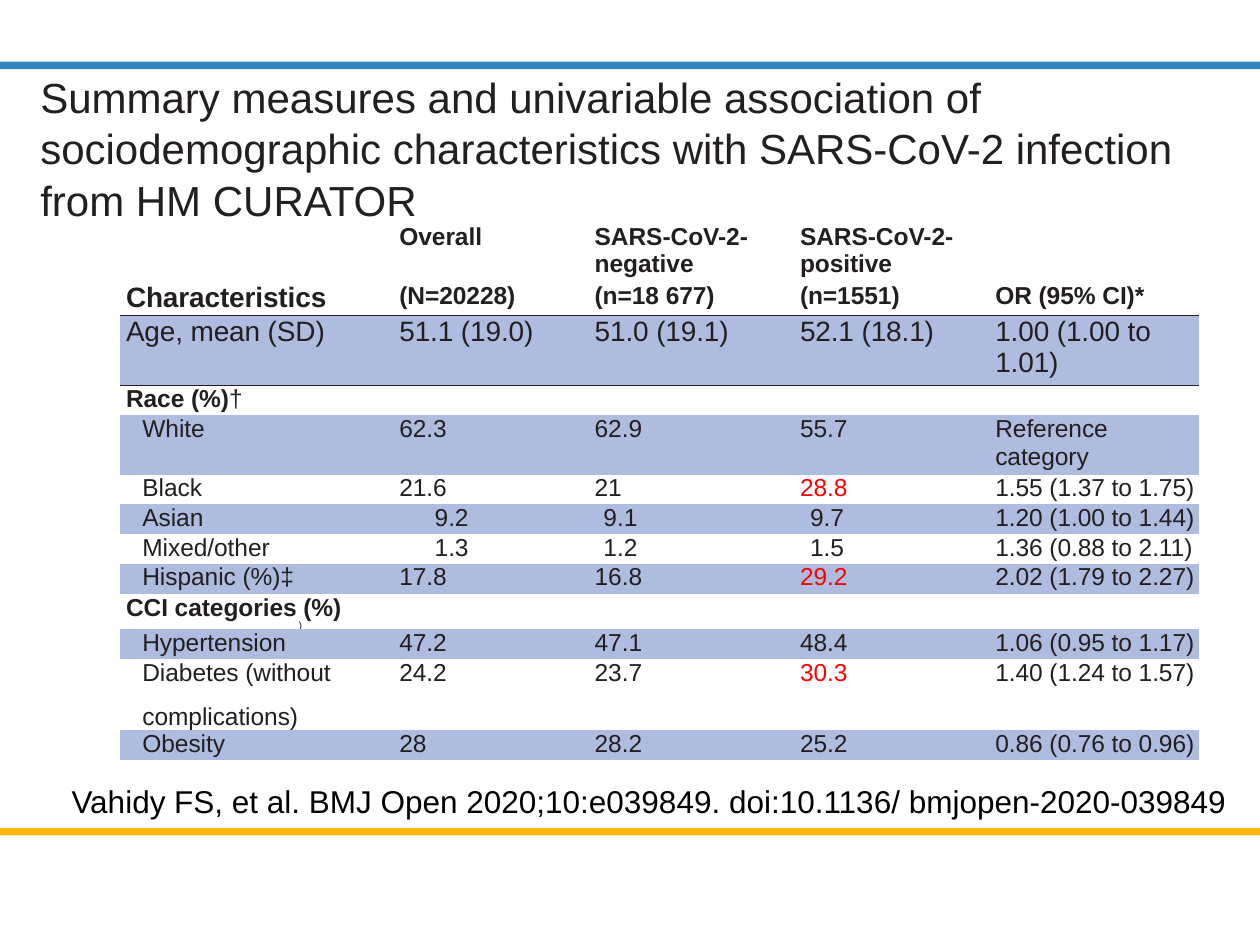
from dataclasses import dataclass
from typing import Optional

from lxml.etree import SubElement
from pptx import Presentation
from pptx.dml.color import RGBColor
from pptx.enum.shapes import MSO_SHAPE
from pptx.enum.text import MSO_ANCHOR, PP_ALIGN
from pptx.oxml import parse_xml
from pptx.oxml.ns import nsdecls, qn
from pptx.util import Inches, Pt


@dataclass(frozen=True)
class Theme:
    font: str = "Arial"
    ink: str = "231F20"
    black: str = "000000"
    alert: str = "FF0000"
    band: str = "AEBCE0"
    white: str = "FFFFFF"
    blue: str = "3284BE"
    gold: str = "FFB612"
    title_size: float = 24
    citation_size: float = 18
    large_size: float = 16
    body_size: float = 14
    blank_size: float = 10
    stray_size: float = 6
    rule_width: float = 0.58
    tracking: str = "-5"  # hundredths of a point


THEME = Theme()


@dataclass(frozen=True)
class Span:
    text: str
    size: float = THEME.body_size
    bold: bool = False
    color: str = THEME.ink


@dataclass(frozen=True)
class Row:
    height: float
    label: tuple[Span, ...] = ()
    values: tuple[str, ...] = ("", "", "", "")
    label_indent: float = 0.18
    fill: Optional[str] = None
    size: float = THEME.body_size
    bold: bool = False
    alert: bool = False  # red value in the positive column
    single_digit: bool = False
    anchor: MSO_ANCHOR = MSO_ANCHOR.TOP


HEADING_INDENT = 0.05
VALUE_INDENTS = (0.38, 0.34, 0.28, 0.25)
SINGLE_DIGIT_INDENTS = (None, 0.41, 0.36, 0.25)  # None means centred
POSITIVE_COLUMN = 2
COLUMN_WIDTHS = (1.84, 1.59, 1.69, 1.58, 1.87)
HEADER_ROW = 1


def label(text: str, **style) -> tuple[Span, ...]:
    return (Span(text, **style),)


ROWS = (
    Row(0.47, values=("Overall", "SARS-CoV-2-\nnegative", "SARS-CoV-2-\npositive", ""), bold=True),
    Row(0.26, label("Characteristics", size=THEME.large_size, bold=True),
        ("(N=20228)", "(n=18 677)", "(n=1551)", "OR (95% CI)*"), HEADING_INDENT, bold=True),
    Row(0.55, label("Age, mean (SD)", size=THEME.large_size),
        ("51.1 (19.0)", "51.0 (19.1)", "52.1 (18.1)", "1.00 (1.00 to 1.01)"),
        HEADING_INDENT, THEME.band, size=THEME.large_size),
    Row(0.24, (Span("Race (%)", bold=True), Span("†")), label_indent=HEADING_INDENT),
    Row(0.47, label("White"), ("62.3", "62.9", "55.7", "Reference category"), fill=THEME.band),
    Row(0.23, label("Black"), ("21.6", "21", "28.8", "1.55 (1.37 to 1.75)"), alert=True),
    Row(0.24, label("Asian"), ("9.2", "9.1", "9.7", "1.20 (1.00 to 1.44)"),
        fill=THEME.band, single_digit=True),
    Row(0.23, label("Mixed/other"), ("1.3", "1.2", "1.5", "1.36 (0.88 to 2.11)"),
        single_digit=True),
    Row(0.24, label("Hispanic (%)‡"), ("17.8", "16.8", "29.2", "2.02 (1.79 to 2.27)"),
        fill=THEME.band, alert=True),
    Row(0.28, label("CCI categories (%)", bold=True), label_indent=HEADING_INDENT),
    Row(0.24, label("Hypertension"), ("47.2", "47.1", "48.4", "1.06 (0.95 to 1.17)"),
        fill=THEME.band),
    Row(0.23, label("Diabetes (without"), ("24.2", "23.7", "30.3", "1.40 (1.24 to 1.57)"),
        fill=THEME.white, alert=True),
    Row(0.33, label("complications)"), anchor=MSO_ANCHOR.BOTTOM),
    Row(0.23, label("Obesity"), ("28", "28.2", "25.2", "0.86 (0.76 to 0.96)"), fill=THEME.band),
)


def add_run(paragraph, span: Span):
    run = paragraph.add_run()
    run.text = span.text
    font = run.font
    font.name, font.size, font.bold = THEME.font, Pt(span.size), span.bold
    font.color.rgb = RGBColor.from_string(span.color)
    return run


def set_indent(paragraph, indent: float) -> None:
    properties = paragraph._p.get_or_add_pPr()
    properties.set("marL", str(Inches(indent)))
    properties.set("indent", "0")


def add_bar(slide, top: float, color: str) -> None:
    shape = slide.shapes.add_shape(
        MSO_SHAPE.RECTANGLE, Inches(0), Inches(top), Inches(10), Inches(0.06))
    shape.shadow.inherit = False
    shape.fill.solid()
    shape.fill.fore_color.rgb = RGBColor.from_string(color)
    shape.line.fill.background()


def add_text(slide, box: tuple[float, ...], span: Span, indent: float = 0, inset: bool = False):
    frame = slide.shapes.add_textbox(*map(Inches, box)).text_frame
    frame.word_wrap = True
    if not inset:
        frame.margin_left = frame.margin_right = frame.margin_top = frame.margin_bottom = 0
    paragraph = frame.paragraphs[0]
    set_indent(paragraph, indent)
    add_run(paragraph, span)
    return paragraph


def add_rule(cell, edge: str) -> None:
    """Draw the header rule; borders come before the fill in a cell."""
    cell._tc.get_or_add_tcPr().insert(0, parse_xml(
        f'<a:{edge} {nsdecls("a")} w="{Pt(THEME.rule_width)}"><a:solidFill>'
        f'<a:srgbClr val="{THEME.ink}"/></a:solidFill></a:{edge}>'))


def fill_cell(cell, lines: list[tuple[Span, ...]], indent: Optional[float], row: Row) -> None:
    cell.margin_left = cell.margin_right = cell.margin_top = cell.margin_bottom = 0
    cell.vertical_anchor = row.anchor
    if row.fill:
        cell.fill.solid()
        cell.fill.fore_color.rgb = RGBColor.from_string(row.fill)
    else:
        cell.fill.background()
    frame = cell.text_frame
    for index, spans in enumerate(lines):
        paragraph = frame.add_paragraph() if index else frame.paragraphs[0]
        if indent is None:
            paragraph.alignment = PP_ALIGN.CENTER
        else:
            set_indent(paragraph, indent)
        for span in spans:
            run = add_run(paragraph, span)
            run._r.get_or_add_rPr().set("spc", THEME.tracking)
        if not spans:  # keep empty cells from stretching the row
            SubElement(paragraph._p, qn("a:endParaRPr"), sz=str(int(THEME.blank_size * 100)))


def add_characteristics_table(slide) -> None:
    frame = slide.shapes.add_table(
        len(ROWS), len(COLUMN_WIDTHS), Inches(0.95), Inches(1.77),
        Inches(sum(COLUMN_WIDTHS)), Inches(sum(row.height for row in ROWS)))
    table = frame.table
    table.first_row = table.horz_banding = False
    style = table._tbl.tblPr.find(qn("a:tableStyleId"))
    style.text = "{2D5ABB26-0587-4C30-8999-92F81FD0307C}"  # no style, no grid
    for column, width in zip(table.columns, COLUMN_WIDTHS):
        column.width = Inches(width)

    for row_index, row in enumerate(ROWS):
        table.rows[row_index].height = Inches(row.height)
        fill_cell(table.cell(row_index, 0), [row.label], row.label_indent, row)
        indents = SINGLE_DIGIT_INDENTS if row.single_digit else VALUE_INDENTS
        for index, (value, indent) in enumerate(zip(row.values, indents)):
            color = THEME.alert if row.alert and index == POSITIVE_COLUMN else THEME.ink
            lines = [label(line, size=row.size, bold=row.bold, color=color) if line else ()
                     for line in value.split("\n")]
            fill_cell(table.cell(row_index, index + 1), lines, indent, row)

    for column_index in range(len(COLUMN_WIDTHS)):
        add_rule(table.cell(HEADER_ROW, column_index), "lnB")
        add_rule(table.cell(HEADER_ROW + 1, column_index), "lnT")


def main() -> None:
    presentation = Presentation()
    presentation.slide_width, presentation.slide_height = Inches(10), Inches(7.5)
    slide = presentation.slides.add_slide(presentation.slide_layouts[6])

    # Top and bottom bars
    add_bar(slide, 6.57, THEME.gold)
    add_bar(slide, 0.49, THEME.blue)

    # Citation and title
    add_text(slide, (0.47, 6.16, 9.53, 0.4), Span(
        "Vahidy FS, et al. BMJ Open 2020;10:e039849. doi:10.1136/ bmjopen-2020-039849",
        THEME.citation_size, color=THEME.black), inset=True)
    title = add_text(slide, (0.28, 0.56, 9.46, 1.21), Span(
        "Summary measures and univariable association of sociodemographic characteristics "
        "with SARS-CoV-2 infection from HM CURATOR", THEME.title_size), indent=0.04)
    title.line_spacing = 1.02

    # Small bracket behind the table
    add_text(slide, (2.35, 4.91, 2.01, 0.1), Span(")", THEME.stray_size), indent=0.02)

    # Characteristics table
    add_characteristics_table(slide)
    presentation.save("out.pptx")


if __name__ == "__main__":
    main()
